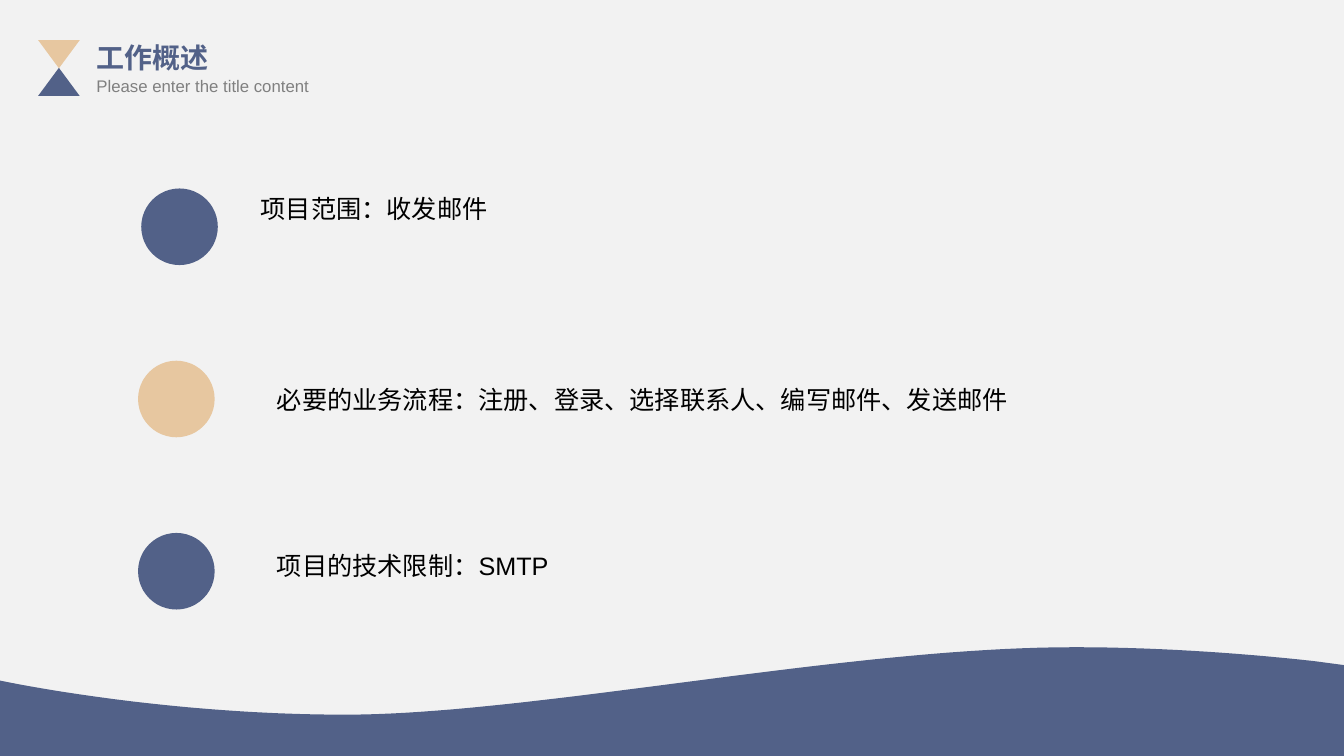
from pptx import Presentation
from pptx.dml.color import RGBColor
from pptx.enum import shapes, text
from pptx.util import Cm, Pt


class Theme:
    font = "Arial"
    background = RGBColor(0xF2, 0xF2, 0xF2)
    navy = RGBColor(0x52, 0x61, 0x88)
    sand = RGBColor(0xE7, 0xC7, 0xA0)
    grey = RGBColor(0x80, 0x80, 0x80)
    black = RGBColor(0, 0, 0)
    title_size, subtitle_size, body_size = Pt(20), Pt(12), Pt(18)


# Lengths in centimetres
WIDTH, HEIGHT = 33.87, 19.05
TITLE = "工作概述"
SUBTITLE = "Please enter the title content"

# Dot left, dot colour, text, text box (left, top, width, height)
TOPICS = [
    (3.56, Theme.navy, "项目范围：收发邮件", (6.32, 4.75, 7.54, 1.02)),
    (3.48, Theme.sand, "必要的业务流程：注册、登录、选择联系人、编写邮件、发送邮件",
     (6.73, 9.55, 19.79, 1.02)),
    (3.48, Theme.navy, "项目的技术限制：SMTP", (6.73, 13.74, 8.59, 1.8)),
]
DOT_TOP, DOT_STEP, DOT_SIZE = 4.75, 4.34, 1.93

# Each curve: start, two control points, end
WAVE_CURVES = [
    ((0, 17.15), (0, 17.15), (3.99, 18.01), (8.71, 18.01)),
    ((8.71, 18.01), (13.41, 18.01), (21.34, 16.31), (27.05, 16.31)),
    ((27.05, 16.31), (29.18, 16.31), (31.29, 16.46), (33.12, 16.66)),
]
WAVE_END = [(WIDTH, 16.76), (WIDTH, HEIGHT), (0, HEIGHT)]
CURVE_STEPS = 40


def paint(shape, color):
    shape.shadow.inherit = False
    shape.fill.solid()
    shape.fill.fore_color.rgb = color
    shape.line.fill.background()


def add_figure(parent, kind, box, color):
    shape = parent.add_shape(kind, *map(Cm, box))
    paint(shape, color)
    return shape


def add_label(parent, words, box, size, color, bold=False):
    frame = parent.add_textbox(*map(Cm, box)).text_frame
    frame.word_wrap = True
    paragraph = frame.paragraphs[0]
    paragraph.alignment = text.PP_ALIGN.JUSTIFY
    run = paragraph.add_run()
    run.text = words
    run.font.name = Theme.font
    run.font.size = size
    run.font.bold = bold
    run.font.color.rgb = color


def curve_points(curve):
    """Points along a cubic Bézier curve, without its start."""
    for step in range(1, CURVE_STEPS + 1):
        t = step / CURVE_STEPS
        weights = ((1 - t) ** 3, 3 * t * (1 - t) ** 2, 3 * t * t * (1 - t), t ** 3)
        yield tuple(sum(w * point[axis] for w, point in zip(weights, curve))
                    for axis in (0, 1))


def add_header(slide):
    header = slide.shapes.add_group_shape().shapes
    triangle = shapes.MSO_SHAPE.ISOSCELES_TRIANGLE
    add_figure(header, triangle, (0.96, 1.71, 1.05, 0.71), Theme.navy)
    upper = add_figure(header, triangle, (0.96, 1.01, 1.05, 0.71), Theme.sand)
    upper.rotation = 180
    add_label(header, TITLE, (2.18, 0.89, 4.55, 1.11),
              Theme.title_size, Theme.navy, bold=True)
    add_label(header, SUBTITLE, (2.18, 1.78, 6.71, 0.77),
              Theme.subtitle_size, Theme.grey)


def add_wave(slide):
    points = [point for curve in WAVE_CURVES for point in curve_points(curve)]
    start = WAVE_CURVES[0][0]
    builder = slide.shapes.build_freeform(*map(Cm, start))
    builder.add_line_segments([(Cm(x), Cm(y)) for x, y in points + WAVE_END])
    paint(builder.convert_to_shape(), Theme.navy)


def add_topics(slide):
    for row, (left, color, words, box) in enumerate(TOPICS):
        top = DOT_TOP + row * DOT_STEP
        add_figure(slide.shapes, shapes.MSO_SHAPE.OVAL,
                   (left, top, DOT_SIZE, DOT_SIZE), color)
        add_label(slide.shapes, words, box, Theme.body_size, Theme.black)


def main():
    presentation = Presentation()
    presentation.slide_width, presentation.slide_height = Cm(WIDTH), Cm(HEIGHT)
    slide = presentation.slides.add_slide(presentation.slide_layouts[6])
    slide.background.fill.solid()
    slide.background.fill.fore_color.rgb = Theme.background
    add_header(slide)
    add_wave(slide)
    add_topics(slide)
    presentation.save("out.pptx")


if __name__ == "__main__":
    main()
